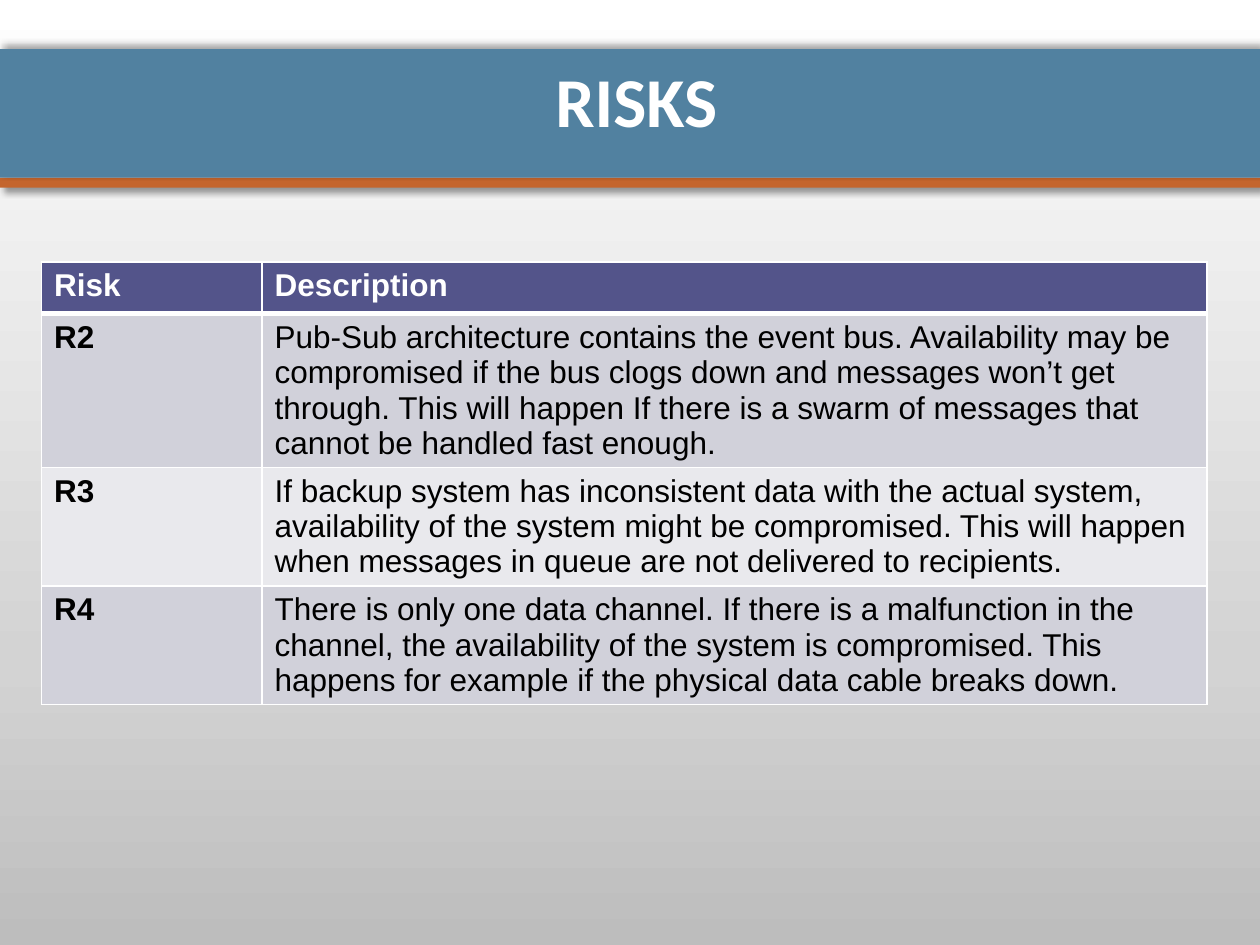
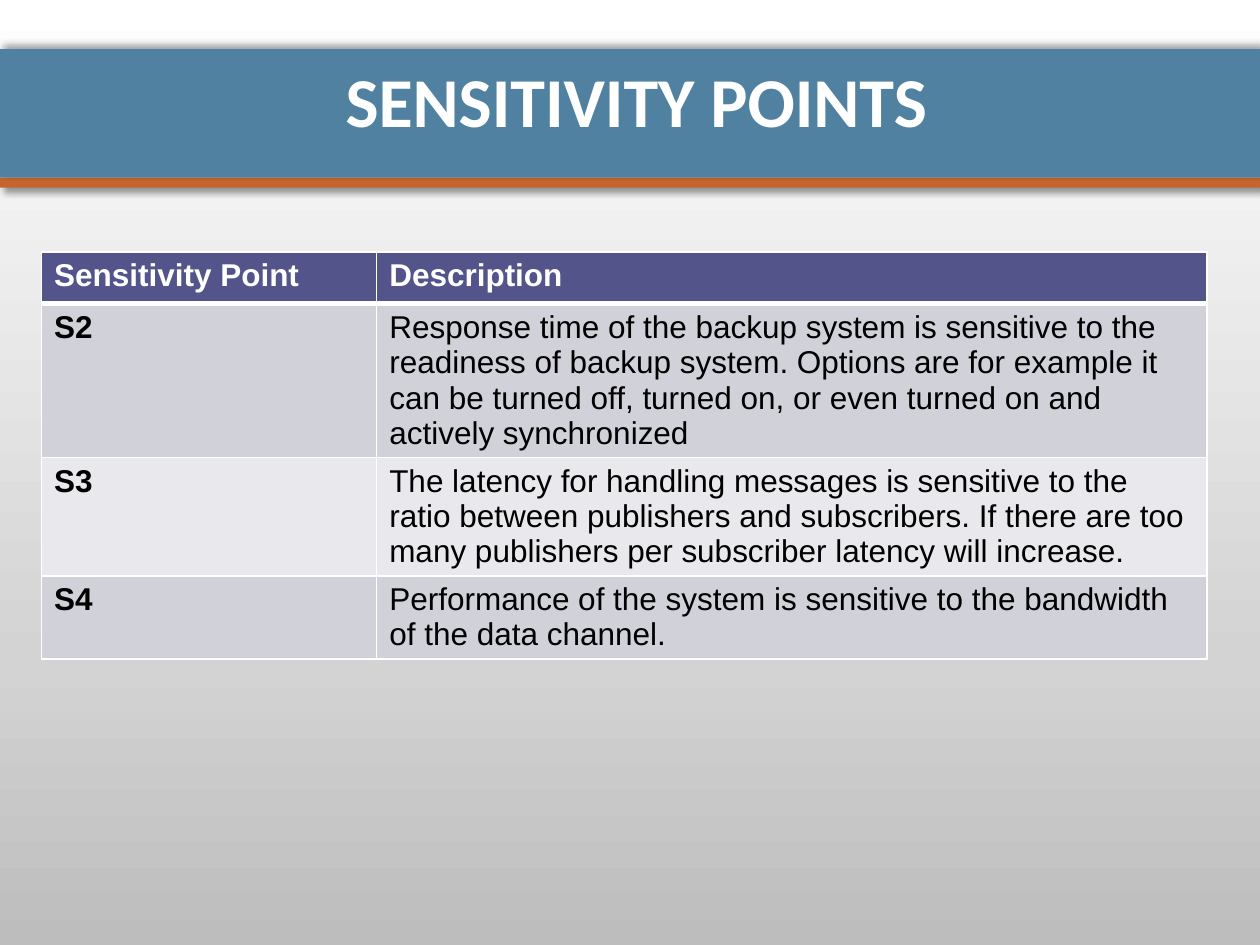
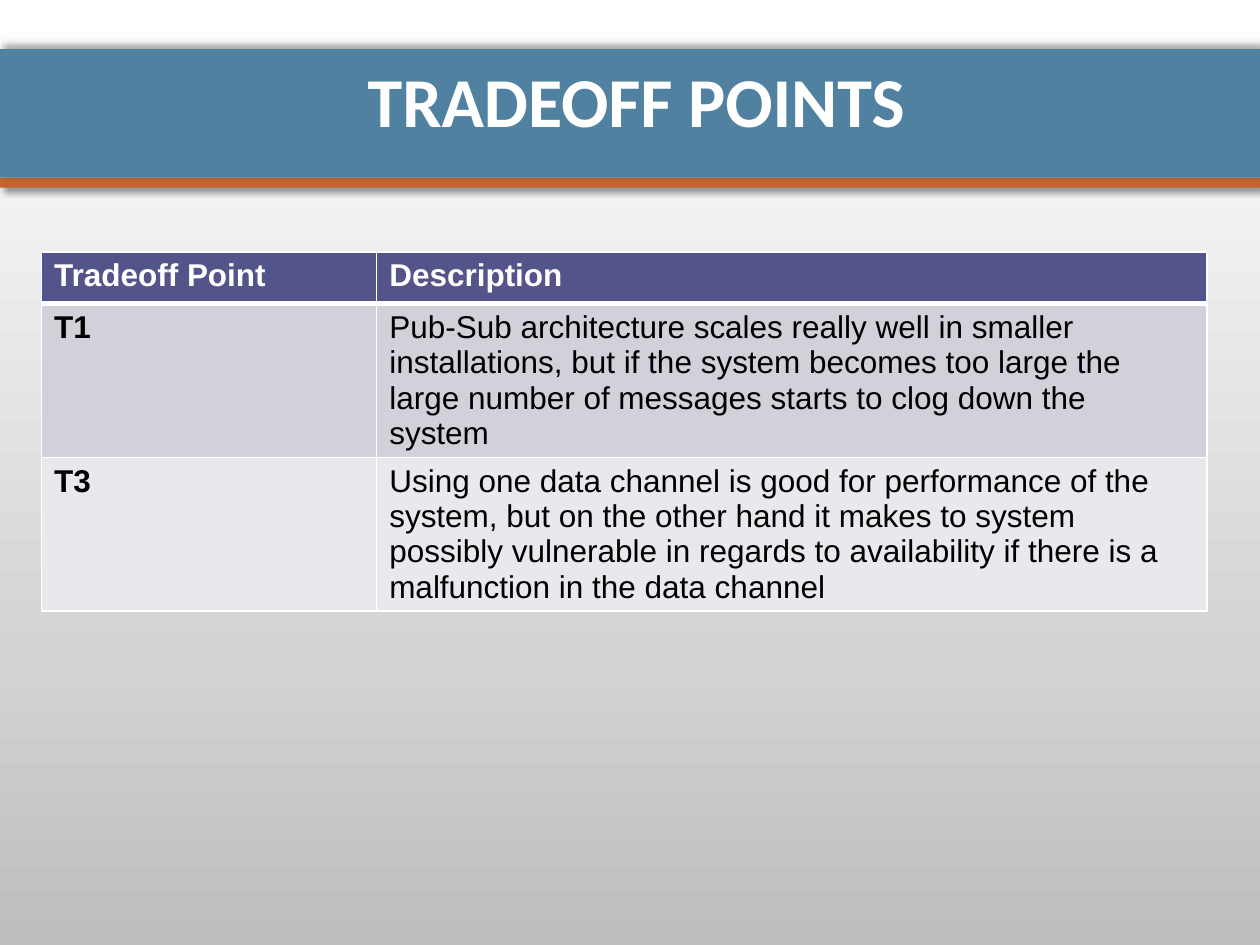
from lxml.etree import SubElement
from pptx import Presentation
from pptx.dml.color import RGBColor
from pptx.enum.shapes import MSO_SHAPE
from pptx.enum.text import MSO_ANCHOR, MSO_AUTO_SIZE, PP_ALIGN
from pptx.oxml import parse_xml
from pptx.oxml.ns import nsdecls, qn
from pptx.util import Inches, Pt

WIDTH, HEIGHT = 10, 7.5
WHITE, BLACK = "FFFFFF", "000000"
BLUE, ORANGE, PURPLE = "5181A0", "C4652D", "53548A"
ROW_FILLS = ("D1D1DA", "E9E9ED")
BACKGROUND_STOPS = ((0, "BDBDBD"), (30, "D3D3D3"), (100, WHITE))

BAND_TOP, BAND_HEIGHT, STRIPE_HEIGHT = 0.39, 1.02, 0.08
# top, height, colour, shadow direction in degrees
BANDS = (
    (BAND_TOP + BAND_HEIGHT, STRIPE_HEIGHT, ORANGE, 45),
    (BAND_TOP, BAND_HEIGHT, BLUE, 315),
)
LEFT, TITLE_WIDTH, TITLE_HEIGHT = 0.33, 9.44, 0.9
TABLE_WIDTH, ROW_HEIGHT = 9.25, 0.41

SLIDES = [
    {
        "title": "RISKS", "top": 2.08, "first_column": 1.75,
        "rows": [
            ("Risk", "Description"),
            ("R2", "Pub-Sub architecture contains the event bus. Availability may be "
                   "compromised if the bus clogs down and messages won’t get through. "
                   "This will happen If there is a swarm of messages that cannot be "
                   "handled fast enough."),
            ("R3", "If backup system has inconsistent data with the actual system, "
                   "availability of the system might be compromised. This will happen "
                   "when messages in queue are not delivered to recipients."),
            ("R4", "There is only one data channel. If there is a malfunction in the "
                   "channel, the availability of the system is compromised. This happens "
                   "for example if the physical data cable breaks down."),
        ],
    },
    {
        "title": "SENSITIVITY POINTS", "top": 2, "first_column": 2.66,
        "rows": [
            ("Sensitivity Point", "Description"),
            ("S2", "Response time of the backup system is sensitive to the readiness of "
                   "backup system. Options are for example it can be turned off, turned "
                   "on, or even turned on and actively synchronized"),
            ("S3", "The latency for handling messages is sensitive to the ratio between "
                   "publishers and subscribers. If there are too many publishers per "
                   "subscriber latency will increase."),
            ("S4", "Performance of the system is sensitive to the bandwidth of the data "
                   "channel."),
        ],
    },
    {
        "title": "TRADEOFF POINTS", "top": 2, "first_column": 2.66,
        "rows": [
            ("Tradeoff Point", "Description"),
            ("T1", "Pub-Sub architecture scales really well in smaller installations, "
                   "but if the system becomes too large the large number of messages "
                   "starts to clog down the system"),
            ("T3", "Using one data channel is good for performance of the system, but on "
                   "the other hand it makes to system possibly vulnerable in regards to "
                   "availability if there is a malfunction in the data channel"),
        ],
    },
]


def rgb(value):
    return RGBColor.from_string(value)


def set_font(paragraph, name, size, color, bold):
    font = paragraph.font
    font.name, font.size, font.bold = name, Pt(size), bold
    font.color.rgb = rgb(color)


def set_background(layout):
    """Give the layout a gradient that runs from the bottom to the top."""
    layout.background.fill.solid()
    properties = layout._element.cSld.find(qn("p:bg")).find(qn("p:bgPr"))
    stops = "".join(
        f'<a:gs pos="{share * 1000}"><a:srgbClr val="{color}"/></a:gs>'
        for share, color in BACKGROUND_STOPS)
    gradient = parse_xml(
        f'<a:gradFill {nsdecls("a")} rotWithShape="1"><a:gsLst>{stops}</a:gsLst>'
        '<a:lin ang="16200000" scaled="0"/></a:gradFill>')
    properties.replace(properties.find(qn("a:solidFill")), gradient)


def add_shadow(shape, direction):
    shape._element.spPr.append(parse_xml(
        f'<a:effectLst {nsdecls("a")}><a:outerShdw blurRad="{Pt(4)}" dist="{Pt(3)}" '
        f'dir="{direction * 60000}" algn="ctr" rotWithShape="0">'
        f'<a:srgbClr val="{BLACK}"><a:alpha val="40000"/></a:srgbClr>'
        '</a:outerShdw></a:effectLst>'))


def move_bands_to_layout(page, layout):
    """Draw the bands on a page, then hand them to its layout so all pages share them."""
    for position, (top, height, color, direction) in enumerate(BANDS):
        band = page.shapes.add_shape(
            MSO_SHAPE.RECTANGLE, 0, Inches(top), Inches(WIDTH), Inches(height))
        band.fill.solid()
        band.fill.fore_color.rgb = rgb(color)
        band.line.fill.background()
        add_shadow(band, direction)
        layout.shapes._spTree.insert(2 + position, band._element)


def set_title(page, text):
    title = page.shapes.title
    title.left, title.top = Inches(LEFT), Inches(BAND_TOP)
    title.width, title.height = Inches(TITLE_WIDTH), Inches(TITLE_HEIGHT)
    frame = title.text_frame
    frame.text = text
    frame.word_wrap, frame.auto_size = True, MSO_AUTO_SIZE.NONE
    frame.vertical_anchor, frame.margin_top = MSO_ANCHOR.TOP, Inches(0.07)
    frame.paragraphs[0].alignment = PP_ALIGN.CENTER
    set_font(frame.paragraphs[0], "Calibri", 40, WHITE, True)


def set_borders(cell, top, bottom):
    """Draw white cell borders; top and bottom are widths in points."""
    properties = cell._tc.get_or_add_tcPr()
    widths = (("lnL", 1), ("lnR", 1), ("lnT", top), ("lnB", bottom))
    for position, (tag, width) in enumerate(widths):
        border = parse_xml(f'<a:{tag} {nsdecls("a")} w="{Pt(width)}"/>')
        fill = SubElement(border, qn("a:solidFill"))
        SubElement(fill, qn("a:srgbClr"), val=WHITE)
        properties.insert(position, border)


def add_point_table(page, rows, top, first_column):
    table = page.shapes.add_table(
        len(rows), 2, Inches(LEFT), Inches(top),
        Inches(TABLE_WIDTH), Inches(ROW_HEIGHT * len(rows))).table
    table.columns[0].width = Inches(first_column)
    table.columns[1].width = Inches(TABLE_WIDTH - first_column)
    for row, texts in enumerate(rows):
        header = row == 0
        for column, text in enumerate(texts):
            cell = table.cell(row, column)
            cell.text = text
            cell.fill.solid()
            cell.fill.fore_color.rgb = rgb(PURPLE if header else ROW_FILLS[(row - 1) % 2])
            set_borders(cell, top=3 if row == 1 else 1, bottom=3 if header else 1)
            set_font(cell.text_frame.paragraphs[0], "Arial", 18,
                     WHITE if header else BLACK, header or column == 0)


def main():
    deck = Presentation()
    deck.slide_width, deck.slide_height = Inches(WIDTH), Inches(HEIGHT)
    layout = deck.slide_layouts.get_by_name("Title Only")
    set_background(layout)
    for content in SLIDES:
        page = deck.slides.add_slide(layout)
        set_title(page, content["title"])
        add_point_table(page, content["rows"], content["top"], content["first_column"])
    move_bands_to_layout(deck.slides[0], layout)
    deck.save("out.pptx")


if __name__ == "__main__":
    main()
